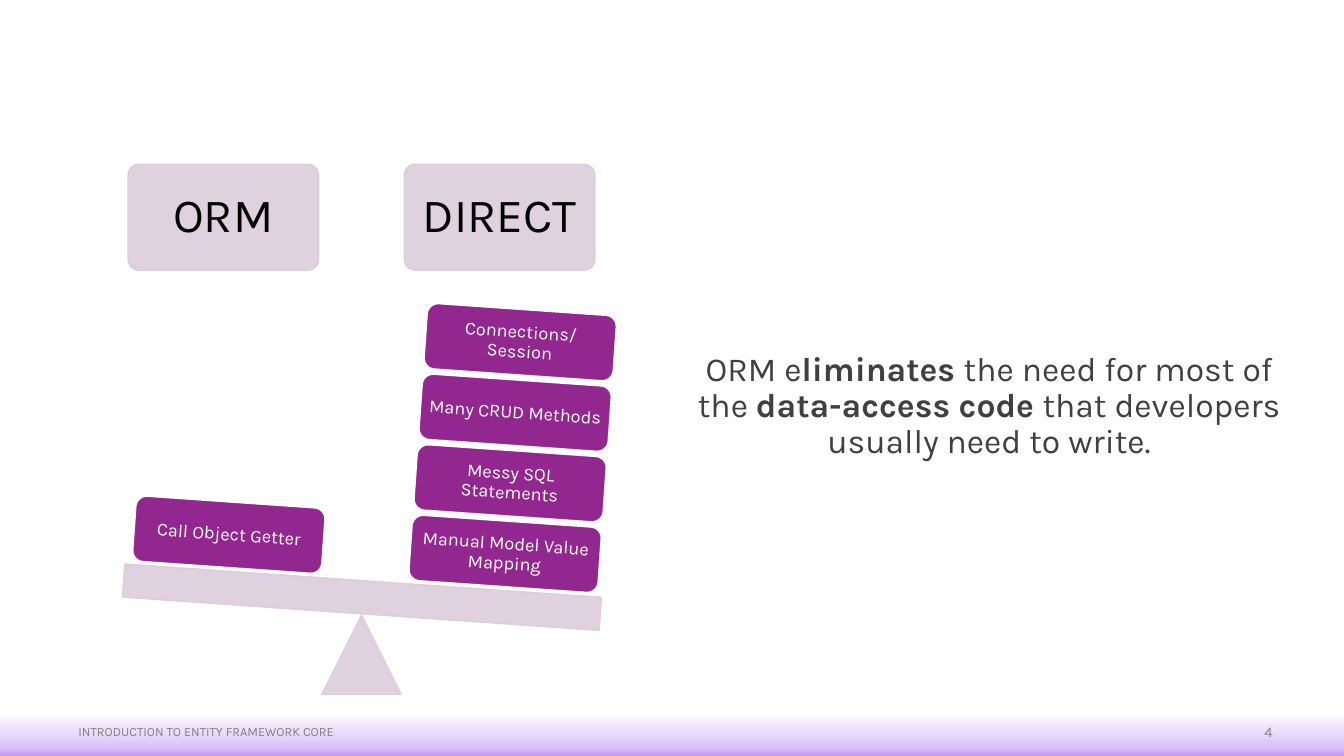
from copy import deepcopy
from dataclasses import dataclass
from typing import NamedTuple

from lxml.etree import SubElement
from pptx import Presentation
from pptx.dml.color import RGBColor
from pptx.enum.shapes import MSO_SHAPE as Shape
from pptx.enum.text import MSO_ANCHOR as Anchor, PP_ALIGN as Align
from pptx.oxml.ns import qn
from pptx.util import Inches, Pt


@dataclass(frozen=True)
class Theme:
    font: str = "Karla"
    pale: str = "DCCDDB"
    purple: str = "92278F"
    white: str = "FFFFFF"
    black: str = "000000"
    body: str = "404040"
    muted: str = "808080"
    band: tuple = ((0, "C399F4"), (19, "D9C1F7"), (100, "FFFFFF"))
    pale_opacity: int = 90
    header_size: float = 34
    body_size: float = 24
    card_size: float = 13
    footer_size: float = 9
    number_size: float = 10.5


class Box(NamedTuple):
    left: float
    top: float
    width: float
    height: float


class Card(NamedTuple):
    text: str
    left: float
    top: float


THEME = Theme()
TILT = 4
CARD_W, CARD_H = 1.88, 0.65
STACK = ["Manual Model Value Mapping", "Messy SQL Statements",
         "Many CRUD Methods", "Connections/Session"]
CARDS = [Card(text, 4.07 + 0.05 * i, 5.17 - 0.7 * i) for i, text in enumerate(STACK)]
CARDS.append(Card("Call Object Getter", 1.33, 4.98))
HEADERS = [Card("ORM", 1.27, 1.63), Card("DIRECT", 4.01, 1.63)]
STATEMENT = [("ORM e", False), ("liminates ", True),
             ("the need for most of the ", False), ("data-access code ", True),
             ("that developers usually need to write.", False)]


def inches(box: Box) -> list:
    return [Inches(round(v, 2)) for v in box]


def add_run(p, text: str, size: float, color: str, bold: bool = False) -> None:
    r = p.add_run()
    r.text = text
    r.font.name = THEME.font
    r.font.size = Pt(size)
    r.font.bold = bold
    r.font.color.rgb = RGBColor.from_string(color)


def set_frame(tf, inset_x: float, inset_y: float) -> None:
    tf.word_wrap = True
    tf.vertical_anchor = Anchor.MIDDLE
    tf.margin_left = tf.margin_right = Inches(inset_x)
    tf.margin_top = tf.margin_bottom = Inches(inset_y)


def add_block(s, kind: Shape, box: Box, fill: str, line: str, tilt: float = 0):
    sp = s.shapes.add_shape(kind, *inches(box))
    sp.shadow.inherit = False
    sp.rotation = tilt
    sp.fill.solid()
    sp.fill.fore_color.rgb = RGBColor.from_string(fill)
    sp.line.color.rgb = RGBColor.from_string(line)
    sp.line.width = Pt(1)
    return sp


def add_pale(s, kind: Shape, box: Box, tilt: float = 0):
    sp = add_block(s, kind, box, THEME.pale, THEME.pale, tilt)
    for clr in sp._element.spPr.iter(qn("a:srgbClr")):
        SubElement(clr, qn("a:alpha")).set("val", str(THEME.pale_opacity * 1000))
    return sp


def add_label(sp, text: str, size: float, color: str, inset: float) -> None:
    set_frame(sp.text_frame, inset, inset)
    p = sp.text_frame.paragraphs[0]
    p.alignment = Align.CENTER
    p.line_spacing = 0.9
    add_run(p, text, size, color)


def add_band(s, box: Box) -> None:
    sp = s.shapes.add_shape(Shape.RECTANGLE, *inches(box))
    sp.shadow.inherit = False
    sp.line.fill.background()
    sp.fill.gradient()
    sp.fill.gradient_angle = 90
    # The default gradient has two stops; the band needs a third
    stops = sp._element.spPr.find(qn("a:gradFill")).find(qn("a:gsLst"))
    stops.append(deepcopy(stops[0]))
    for stop, (position, color) in zip(sp.fill.gradient_stops, THEME.band):
        stop.position = position / 100
        stop.color.rgb = RGBColor.from_string(color)


def add_footer(s, box: Box, text: str, size: float, align: Align) -> None:
    tf = s.shapes.add_textbox(*inches(box)).text_frame
    set_frame(tf, 0.1, 0.05)
    p = tf.paragraphs[0]
    p.alignment = align
    add_run(p, text, size, THEME.muted)


def add_statement(s, box: Box) -> None:
    tf = s.shapes.add_textbox(*inches(box)).text_frame
    set_frame(tf, 0, 0.05)
    tf.margin_bottom = Inches(0.5)
    p = tf.paragraphs[0]
    p.alignment = Align.CENTER
    p.line_spacing = 0.9
    p.space_before, p.space_after = Pt(12), Pt(2)
    p._p.get_or_add_pPr().set("marL", str(Inches(0.1)))
    for text, bold in STATEMENT:
        add_run(p, text, THEME.body_size, THEME.body, bold)


def main() -> None:
    prs = Presentation()
    prs.slide_width, prs.slide_height = Inches(13.33), Inches(7.5)
    s = prs.slides.add_slide(prs.slide_layouts[6])

    # Footer band, statement and footer texts
    add_band(s, Box(0, 7.07, 13.33, 0.43))
    add_statement(s, Box(6.8, 1.63, 5.92, 5.26))
    add_footer(s, Box(0.68, 7.06, 10.84, 0.4), "INTRODUCTION TO ENTITY FRAMEWORK CORE",
               THEME.footer_size, Align.LEFT)
    add_footer(s, Box(11.53, 7.06, 1.19, 0.4), "4", THEME.number_size, Align.RIGHT)

    # Headers over the two sides of the scale
    for header in HEADERS:
        sp = add_pale(s, Shape.ROUNDED_RECTANGLE, Box(header.left, header.top, 1.89, 1.05))
        sp.adjustments[0] = 0.1
        add_label(sp, header.text, THEME.header_size, THEME.black, 0.14)

    # Scale: pivot and tilted beam
    add_pale(s, Shape.ISOSCELES_TRIANGLE, Box(3.19, 6.1, 0.79, 0.79))
    add_pale(s, Shape.RECTANGLE, Box(1.22, 5.76, 4.74, 0.33), TILT)

    # Weights on the beam
    for card in CARDS:
        sp = add_block(s, Shape.ROUNDED_RECTANGLE, Box(card.left, card.top, CARD_W, CARD_H),
                       THEME.purple, THEME.white, TILT)
        add_label(sp, card.text, THEME.card_size, THEME.white, 0.04)

    prs.save("out.pptx")


if __name__ == "__main__":
    main()
